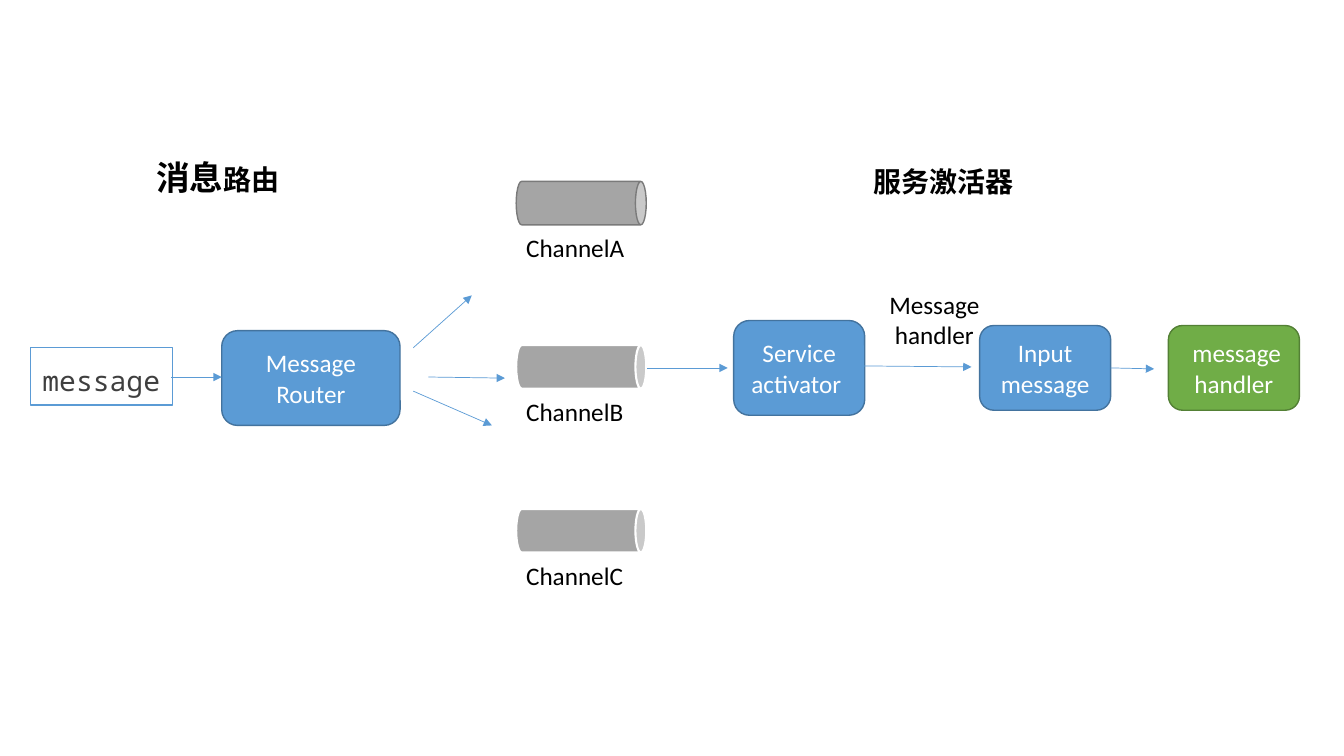
from lxml.etree import SubElement
from pptx import Presentation
from pptx.dml.color import RGBColor
from pptx.enum.shapes import MSO_CONNECTOR, MSO_SHAPE
from pptx.enum.text import MSO_ANCHOR, MSO_AUTO_SIZE, PP_ALIGN
from pptx.oxml.ns import qn
from pptx.util import Pt

COLORS = {
    "white": "FFFFFF", "black": "000000", "dark_text": "3F3F3F",
    "blue": "5B9BD5", "blue_edge": "43739E",
    "green": "70AD47", "green_edge": "538035",
    "gray": "A5A5A5", "gray_edge": "7A7A7A",
}
BODY_FONT = "Calibri"
MONO_FONT = "Noto Sans Mono"
CHANNEL_PITCH = 117


def rgb(name):
    return RGBColor.from_string(COLORS[name])


def add_run(paragraph, text, size, color="black", font=BODY_FONT, bold=False):
    run = paragraph.add_run()
    run.text = text
    run.font.size = Pt(size)
    run.font.name = font
    run.font.bold = bold
    run.font.color.rgb = rgb(color)


def add_outlined(slide, kind, box, fill, edge, edge_width=1):
    shape = slide.shapes.add_shape(kind, *map(Pt, box))
    shape.shadow.inherit = False
    shape.fill.solid()
    shape.fill.fore_color.rgb = rgb(fill)
    shape.line.color.rgb = rgb(edge)
    shape.line.width = Pt(edge_width)
    return shape


def add_label(slide, box, runs, align=PP_ALIGN.LEFT):
    """Place text; each run is (text, size, bold)."""
    label = slide.shapes.add_textbox(*map(Pt, box))
    frame = label.text_frame
    frame.word_wrap = True
    frame.auto_size = MSO_AUTO_SIZE.SHAPE_TO_FIT_TEXT
    paragraph = frame.paragraphs[0]
    paragraph.alignment = align
    for text, size, bold in runs:
        add_run(paragraph, text, size, bold=bold)


def add_step(slide, box, text, color="blue"):
    step = add_outlined(slide, MSO_SHAPE.ROUNDED_RECTANGLE, box, color, f"{color}_edge")
    frame = step.text_frame
    frame.word_wrap = True
    frame.vertical_anchor = MSO_ANCHOR.MIDDLE
    paragraph = frame.paragraphs[0]
    paragraph.alignment = PP_ALIGN.CENTER
    add_run(paragraph, text, 18, "white")


def add_message(slide, box):
    message = add_outlined(slide, MSO_SHAPE.RECTANGLE, box, "white", "blue")
    frame = message.text_frame
    frame.word_wrap = True
    frame.auto_size = MSO_AUTO_SIZE.SHAPE_TO_FIT_TEXT
    frame.vertical_anchor = MSO_ANCHOR.TOP
    paragraph = frame.paragraphs[0]
    paragraph.alignment = PP_ALIGN.CENTER
    add_run(paragraph, "message", 20, "dark_text", MONO_FONT)
    add_run(paragraph, " ", 28)


def add_channel(slide, box, name, edge, edge_width):
    """Lay a cylinder on its side in the box, with its name below."""
    left, top, width, height = box
    shift = (width - height) / 2
    upright = (left + shift, top - shift, height, width)
    cylinder = add_outlined(slide, MSO_SHAPE.CAN, upright, "gray", edge, edge_width)
    cylinder.rotation = 90
    add_label(slide, (left, top + height + 2, 116.6, 29), [(name, 18, False)])


def add_arrow(slide, start, end):
    arrow = slide.shapes.add_connector(MSO_CONNECTOR.STRAIGHT, *map(Pt, start + end))
    arrow.line.color.rgb = rgb("blue")
    arrow.line.width = Pt(0.5)
    SubElement(arrow.line._get_or_add_ln(), qn("a:tailEnd"), type="triangle")
    SubElement(arrow._element.spPr, qn("a:effectLst"))


def add_router_region(slide, box):
    left, top, width, height = box
    middle = top + height / 2
    add_label(slide, (left + 82.8, top, 157.7, 36), [("消息", 24, True), ("路由", 20, True)])
    add_message(slide, (left, middle - 20.9, 101.5, 41))
    add_step(slide, (left + 136.8, middle - 33.1, 127.4, 67.7), "Message Router")

    # Arrows into the router and out towards the channels
    for start_x, start_y, end_x, end_y in (
        (100.8, 0, 136.8, 0),
        (273.6, -20.9, 315.4, -58.3),
        (284.4, 0, 339.1, 0.8),
        (273.6, 10.1, 329.8, 34.6),
    ):
        add_arrow(slide, (left + start_x, middle + start_y), (left + end_x, middle + end_y))

    # Channels, evenly stacked at the right edge
    cylinder_width = 92.9
    for row, letter in enumerate("ABC"):
        edge, edge_width = ("gray_edge", 1) if row == 0 else ("white", 1.5)
        place = (left + width - cylinder_width, top + 20.9 + row * CHANNEL_PITCH,
                 cylinder_width, 31)
        add_channel(slide, place, f"Channel{letter}", edge, edge_width)


def add_activator_region(slide, box):
    left, top, width, height = box
    middle = top + height / 2
    step_width = 93.6
    add_label(slide, (left + 154.8, top, 128.9, 31.7), [("服务激活器", 20, True)])

    # Steps, each centred on the middle line
    for x, step_height, text, color in (
        (61.9, 67.7, "Service activator ", "blue"),
        (237.6, 60.5, "Input message", "blue"),
        (width - step_width, 60.5, " message handler", "green"),
    ):
        add_step(slide, (left + x, middle - step_height / 2, step_width, step_height),
                 text, color)
    add_label(slide, (left + 164.2, middle - 59.8, 82, 51),
              [("Message handler", 18, False)], PP_ALIGN.CENTER)

    # Arrows between the steps
    for start_x, start_y, end_x, end_y in (
        (0, 0, 57.6, 0),
        (154.8, -1.4, 231.8, -0.7),
        (331.2, 0, 362.2, 0.7),
    ):
        add_arrow(slide, (left + start_x, middle + start_y), (left + end_x, middle + end_y))


def main():
    deck = Presentation()
    deck.slide_width, deck.slide_height = Pt(960), Pt(540)
    slide = deck.slides.add_slide(deck.slide_layouts[6])
    slide.background.fill.solid()
    slide.background.fill.fore_color.rgb = rgb("white")
    add_router_region(slide, (21.6, 108.7, 440, 321.2))
    add_activator_region(slide, (462.2, 113.8, 466, 298))
    deck.save("out.pptx")


if __name__ == "__main__":
    main()
